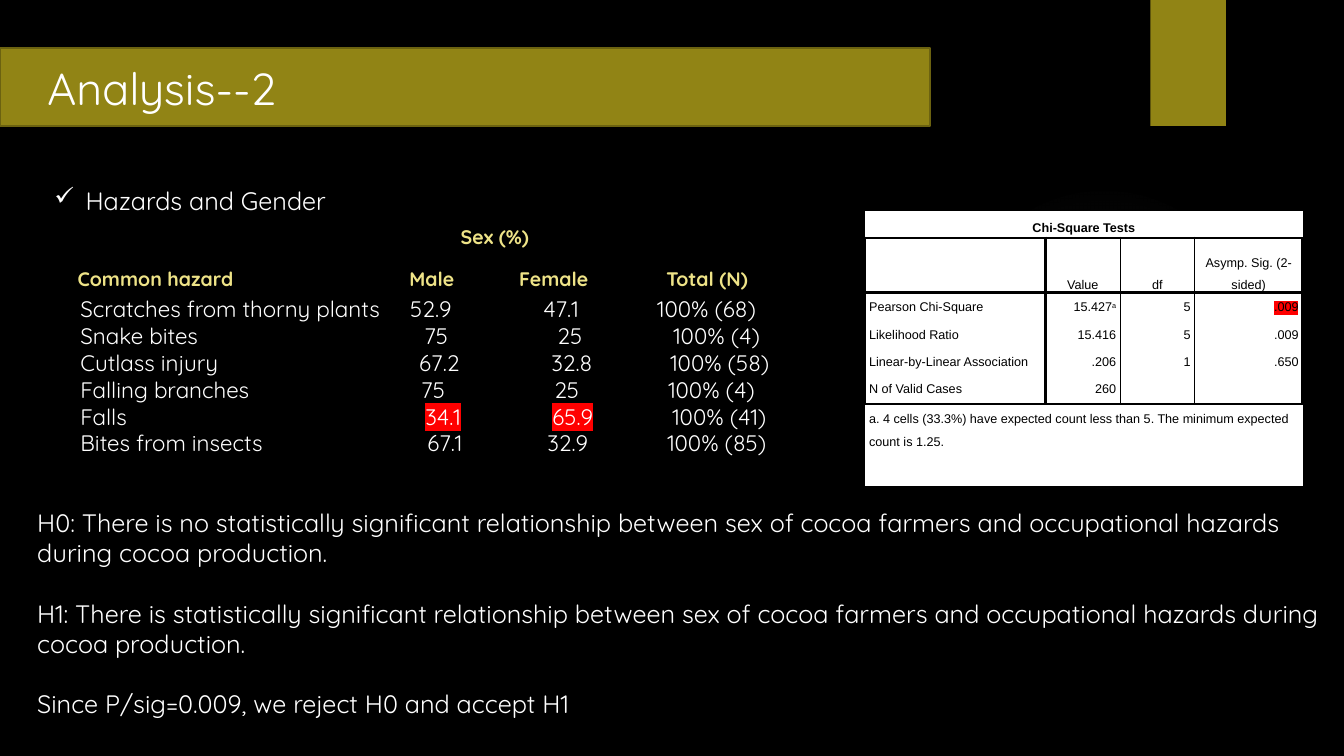
from lxml import etree
from pptx import Presentation
from pptx.dml.color import RGBColor
from pptx.enum.shapes import MSO_SHAPE
from pptx.enum.text import MSO_ANCHOR, PP_ALIGN
from pptx.oxml import parse_xml
from pptx.oxml.ns import nsdecls, qn
from pptx.util import Inches, Pt

COLORS = {"black": "000000", "white": "FFFFFF", "olive": "918415", "edge": "6B6210",
          "head": "EEE387", "red": "FF0000", "glow": "ACACAC"}
RGB = {name: RGBColor.from_string(value) for name, value in COLORS.items()}
NO_STYLE = "{2D5ABB26-0587-4C30-8999-92F81FD0307C}"


def style(p, size, color, font="Quicksand", bold=False):
    for r in p.runs:
        r.font.size, r.font.name, r.font.bold = Pt(size), font, bold
        r.font.color.rgb = RGB[color]
        if r.text in highlighted:
            mark = parse_xml(f'<a:highlight {nsdecls("a")}><a:srgbClr val="{COLORS["red"]}"/></a:highlight>')
            r._r.get_or_add_rPr().find(qn("a:solidFill")).addnext(mark)


def add_tabs(p, stops):
    """Add left tab stops, given in inches from the text edge."""
    tabs = etree.SubElement(p._p.get_or_add_pPr(), qn("a:tabLst"))
    for stop in stops:
        etree.SubElement(tabs, qn("a:tab"), pos=str(Inches(stop)), algn="l")


highlighted = {"34.1\t65.9\t"}

prs = Presentation()
prs.slide_width, prs.slide_height = Inches(13.33), Inches(7.5)
s = prs.slides.add_slide(prs.slide_layouts[6])
s.background.fill.solid()
s.background.fill.fore_color.rgb = RGB["black"]

# Glow, corner tab and title bar
glow = s.shapes.add_shape(MSO_SHAPE.OVAL, Inches(9.41), Inches(1.83), Inches(3.08), Inches(3.08))
glow.shadow.inherit = False
glow.line.fill.background()
stops = "".join(f'<a:gs pos="{pos}000"><a:srgbClr val="{COLORS["glow"]}"><a:alpha val="{alpha}000"/></a:srgbClr></a:gs>'
                for pos, alpha in ((0, 7), (36, 6), (69, 0), (100, 0)))
glow._element.spPr.find(qn("a:prstGeom")).addnext(parse_xml(
    f'<a:gradFill {nsdecls("a")}><a:gsLst>{stops}</a:gsLst><a:path path="circle">'
    '<a:fillToRect l="50000" t="50000" r="50000" b="50000"/></a:path></a:gradFill>'))

for box in ((11.41, 0, 0.75, 1.25), (0, 0.48, 9.22, 0.77)):
    bar = s.shapes.add_shape(MSO_SHAPE.RECTANGLE, *map(Inches, box))
    bar.shadow.inherit = False
    bar.fill.solid()
    bar.fill.fore_color.rgb = RGB["olive"]
    bar.line.fill.background()
bar.line.color.rgb = RGB["edge"]
bar.line.width = Pt(1.5)
tf = bar.text_frame
tf.text = "Analysis--2"
tf.margin_left = Inches(0.47)
tf.vertical_anchor = MSO_ANCHOR.MIDDLE
tf.paragraphs[0].alignment = PP_ALIGN.LEFT
style(tf.paragraphs[0], 32, "white")

# Text boxes
frames = []
for box in ((0.44, 1.79, 8.78, 0.4), (0.27, 4.98, 13.05, 2.22), (0.7, 2.88, 7.5, 1.72)):
    tf = s.shapes.add_textbox(*map(Inches, box)).text_frame
    tf.word_wrap = True
    frames.append(tf)
topic, hypotheses, hazards = frames

p = topic.paragraphs[0]
p.text = "Hazards and Gender"
style(p, 18, "white")
pPr = p._p.get_or_add_pPr()
pPr.set("marL", str(Inches(0.31)))
pPr.set("indent", str(-Inches(0.31)))
etree.SubElement(pPr, qn("a:buChar"), char="✓")

hypotheses.text = "\n".join((
    "H0: There is no statistically significant relationship between sex of cocoa farmers "
    "and occupational hazards during cocoa production.",
    "H1: There is statistically significant relationship between sex of cocoa farmers "
    "and occupational hazards during cocoa production.",
    "Since P/sig=0.009, we reject H0 and accept H1"))
for i, p in enumerate(hypotheses.paragraphs):
    p.space_before = Pt(21.7 if i else 0)
    style(p, 18, "white")

# Hazard list: name, male, female, total, tab stops
HAZARDS = [
    ("Scratches from thorny plants", "52.9", "47.1", "100% (68)", (3.27, 4.59, 5.72)),
    ("Snake bites", "75", "25", "100% (4)", (3.41, 4.73, 5.88)),
    ("Cutlass injury", "67.2", "32.8", "100% (58)", (3.36, 4.67, 5.85)),
    ("Falling branches", "75", "25", "100% (4)", (3.38, 4.7, 5.83)),
    ("Falls", "34.1", "65.9", "100% (41)", (3.42, 4.68, 5.87)),
    ("Bites from insects", "67.1", "32.9", "100% (85)", (3.44, 4.63, 5.82)),
]
for i, (name, male, female, total, stops) in enumerate(HAZARDS):
    p = hazards.add_paragraph() if i else hazards.paragraphs[0]
    for text in (f"{name}\t", f"{male}\t{female}\t", total):
        p.add_run().text = text
    add_tabs(p, stops)
    style(p, 16, "white")

# Hazard heading
frame = s.shapes.add_table(1, 1, Inches(0.7), Inches(2.19), Inches(6.89), Inches(0.95))
frame._element.xpath(".//a:tableStyleId")[0].text = NO_STYLE
cell = frame.table.cell(0, 0)
cell.fill.background()
cell.margin_left = cell.margin_right = Inches(0.07)
cell.margin_top = cell.margin_bottom = 0
cell.text_frame.text = "\tSex (%)\nCommon hazard\tMale\tFemale\tTotal (N)"
for p, stops in zip(cell.text_frame.paragraphs, ((3.8,), (3.29, 4.38, 5.84))):
    p.line_spacing, p.space_after = 1.15, Pt(10)
    add_tabs(p, stops)
    style(p, 14, "head", bold=True)

# Chi-square table
highlighted = set()
CHI = [
    ("Chi-Square Tests", "", "", ""),
    ("", "Value", "df", "Asymp. Sig. (2-sided)"),
    ("Pearson Chi-Square", "15.427", "5", ".009"),
    ("Likelihood Ratio", "15.416", "5", ".009"),
    ("Linear-by-Linear Association", ".206", "1", ".650"),
    ("N of Valid Cases", "260", "", ""),
    ("a. 4 cells (33.3%) have expected count less than 5. The minimum expected count is 1.25.", "", "", ""),
]
WIDTHS = (1.79, 0.74, 0.74, 1.07)
HEIGHTS = (0.27, 0.54, 0.27, 0.27, 0.27, 0.27, 0.81)
LAST = len(CHI) - 1
frame = s.shapes.add_table(len(CHI), 4, Inches(8.58), Inches(2.09), Inches(sum(WIDTHS)), Inches(sum(HEIGHTS)))
frame._element.xpath(".//a:tableStyleId")[0].text = NO_STYLE
chi = frame.table
for col, width in zip(chi.columns, WIDTHS):
    col.width = Inches(width)
for row, height in zip(chi.rows, HEIGHTS):
    row.height = Inches(height)
for i in (0, LAST):
    chi.cell(i, 0).merge(chi.cell(i, 3))

for i, row in enumerate(CHI):
    for j, text in enumerate(row):
        cell = chi.cell(i, j)
        cell.margin_left = cell.margin_right = cell.margin_top = cell.margin_bottom = 0
        cell.vertical_anchor = (MSO_ANCHOR.MIDDLE, MSO_ANCHOR.BOTTOM)[i] if i < 2 else MSO_ANCHOR.TOP
        cell.fill.solid()
        cell.fill.fore_color.rgb = RGB["white"]
        p = cell.text_frame.paragraphs[0]
        p.text = text
        p.line_spacing = Pt(16)
        p._p.get_or_add_pPr().set("marL", str(Inches(0.04)))
        p._p.get_or_add_pPr().set("marR", str(Inches(0.04)))
        p.alignment = PP_ALIGN.CENTER if i < 2 else PP_ALIGN.RIGHT if j else PP_ALIGN.LEFT
        if (i, j) == (2, 1):
            r = p.add_run()
            r.text = "a"
            r._r.get_or_add_rPr().set("baseline", "30000")
        highlighted = {".009"} if i == 2 else set()
        style(p, 9, "black", "Arial", bold=i == 0)

        inner = 0 < i < LAST
        borders = {"L": (2.25 if j < 2 else 1) if inner else 0,
                   "R": (2.25 if j in (0, 3) else 1) if inner else 0,
                   "T": 2.25 if i in (1, 2, LAST) else 0,
                   "B": 2.25 if i in (0, 1, LAST - 1) else 0}
        tcPr = cell._tc.get_or_add_tcPr()
        for k, (side, width) in enumerate(borders.items()):
            paint = f'<a:solidFill><a:srgbClr val="{COLORS["black"]}"/></a:solidFill>' if width else "<a:noFill/>"
            tcPr.insert(k, parse_xml(f'<a:ln{side} {nsdecls("a")} w="{Pt(width)}">{paint}</a:ln{side}>'))

prs.save("out.pptx")
